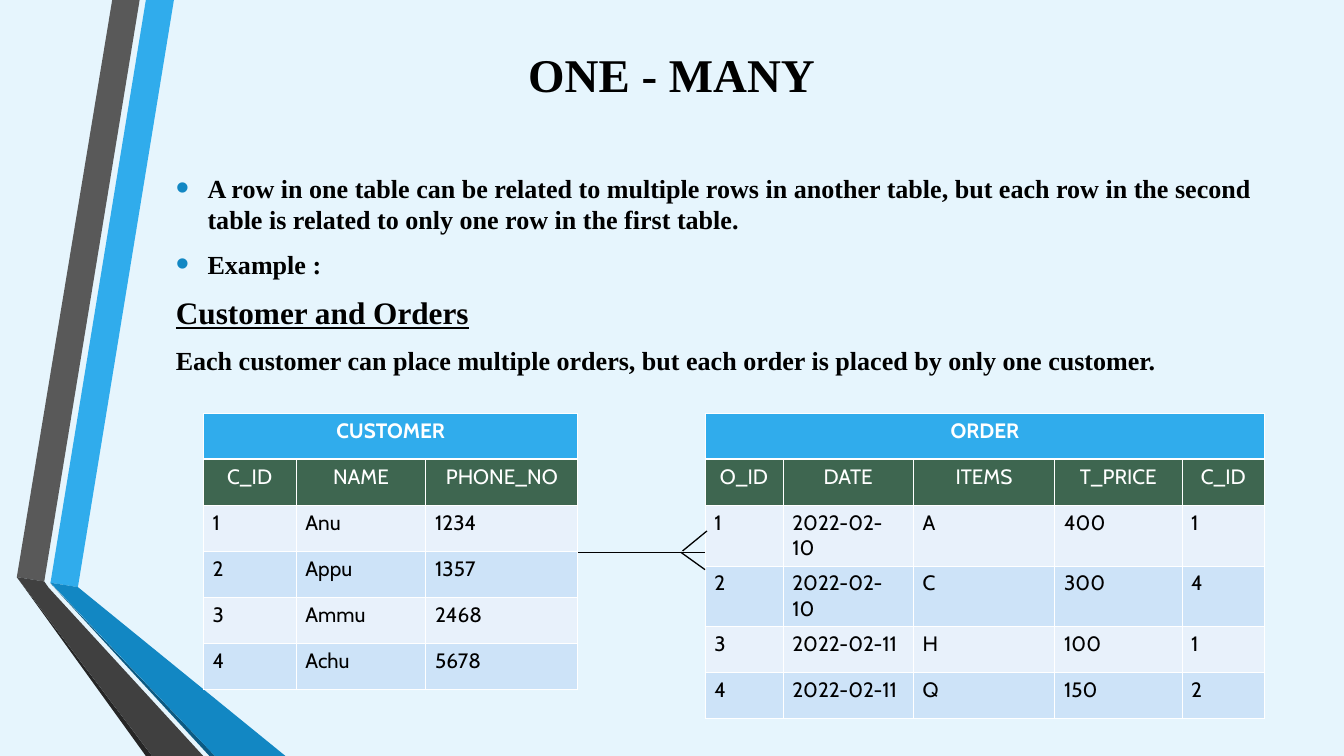
import pptx
import pptx.util
import pptx.dml.color
import pptx.enum.text
import pptx.enum.shapes
import pptx.oxml
import pptx.oxml.ns

Inches = pptx.util.Inches
Pt = pptx.util.Pt
Align = pptx.enum.text.PP_ALIGN
Anchor = pptx.enum.text.MSO_ANCHOR
SERIF = "Times New Roman"
NS = pptx.oxml.ns.nsdecls("a")

BANDS = [
    ("30ACEC", [(0.54, 9.35), (0.98, 9.42), (2.52, 0), (2.07, 0)]),
    ("595959", [(1.97, 0), (1.53, 0), (0, 9.26), (0.44, 9.33)]),
    ("262626", [(0, 9.26), (2.07, 12.13), (2.17, 12.13)]),
    ("0C5A82", [(0.54, 9.36), (3.09, 12.13), (3.18, 12.13)]),
    ("1287C3", [(0.54, 9.35), (3.18, 12.13), (4.31, 12.13), (0.98, 9.42)]),
    ("404040", [(2.99, 12.13), (0.51, 9.43), (0.44, 9.33), (0, 9.26), (2.17, 12.13)]),
]
BODY = [
    ("A row in one table can be related to multiple rows in another table, "
     "but each row in the second table is related to only one row in the first table.", 30.1, True),
    ("Example :", 30.1, True),
    ("Customer and Orders", 36.1, False),
    ("Each customer can place multiple orders, but each order is placed by only one customer.", 30.1, False),
]
CLIENTS = [
    ["C_ID", "NAME", "PHONE_NO"],
    ["1", "Anu", "1234"],
    ["2", "Appu", "1357"],
    ["3", "Ammu", "2468"],
    ["4", "Achu", "5678"],
]
ORDERS = [
    ["O_ID", "DATE", "ITEMS", "T_PRICE", "C_ID"],
    ["1", "2022-02-10", "A", "400", "1"],
    ["2", "2022-02-10", "C", "300", "4"],
    ["3", "2022-02-11", "H", "100", "1"],
    ["4", "2022-02-11", "Q", "150", "2"],
]


def paint(fmt, tone):
    fmt.solid()
    fmt.fore_color.rgb = pptx.dml.color.RGBColor.from_string(tone)


def style(font, name, size, tone, bold):
    font.name = name
    font.size = Pt(size)
    font.bold = bold
    paint(font.fill, tone)


def place(shape, box):
    shape.left, shape.top, shape.width, shape.height = map(Inches, box)


def ribbon(slide, x, y):
    for tone, dots in BANDS:
        pts = [(Inches(x + dx), Inches(y + dy)) for dx, dy in dots]
        pen = slide.shapes.build_freeform(*pts[0])
        pen.add_line_segments(pts[1:], close=True)
        band = pen.convert_to_shape()
        band.shadow.inherit = False
        paint(band.fill, tone)
        band.line.fill.background()


def heading(slide, box):
    title = slide.shapes.title
    place(title, box)
    frame = title.text_frame
    frame.text = "ONE - MANY"
    frame.vertical_anchor = Anchor.MIDDLE
    para = frame.paragraphs[0]
    para.alignment = Align.CENTER
    style(para.runs[0].font, SERIF, 54.2, "000000", True)


def bullet(para, shown):
    props = para._p.get_or_add_pPr()
    props.set("marL", str(Inches(0.51) if shown else 0))
    props.set("indent", str(Inches(-0.51) if shown else 0))
    marks = ['<a:buNone %s/>']
    if shown:
        marks = [
            '<a:buClr %s><a:srgbClr val="1287C3"/></a:buClr>',
            '<a:buSzPct %s val="145000"/>',
            '<a:buFont %s typeface="Arial"/>',
            '<a:buChar %s char="•"/>',
        ]
    for mark in marks:
        props.append(pptx.oxml.parse_xml(mark % NS))


def content(slide, box):
    body = slide.placeholders[1]
    place(body, box)
    frame = body.text_frame
    frame.text = "\n".join(text for text, size, dot in BODY)
    frame.word_wrap = True
    frame.auto_size = pptx.enum.text.MSO_AUTO_SIZE.NONE
    frame.vertical_anchor = Anchor.TOP
    frame.margin_top = Inches(0.57)
    for i, (para, (text, size, dot)) in enumerate(zip(frame.paragraphs, BODY)):
        bullet(para, dot)
        para.alignment = Align.LEFT
        para.space_before = Pt(6 if i else 0)
        para.space_after = Pt(9.7)
        font = para.runs[0].font
        style(font, SERIF, size, "000000", True)
        font.underline = size > 36


def border(cell, low):
    props = cell._tc.get_or_add_tcPr()
    for side, width in zip("LRTB", (1, 1, 1, low)):
        props.append(pptx.oxml.parse_xml(
            f'<a:ln{side} {NS} w="{Pt(width)}"><a:solidFill>'
            f'<a:srgbClr val="FFFFFF"/></a:solidFill></a:ln{side}>'))


def grid(slide, x, y, name, rows, widths):
    lines = [[name] + [""] * (len(widths) - 1)] + rows
    high = 0.74
    table = slide.shapes.add_table(
        len(lines), len(widths), Inches(x), Inches(y),
        Inches(sum(widths)), Inches(high * len(lines))).table
    for col, width in zip(table.columns, widths):
        col.width = Inches(width)
    for r, line in enumerate(lines):
        table.rows[r].height = Inches(high)
        tone = ("30ACEC", "3E6650")[r] if r < 2 else ("E8F1FB", "CDE3F8")[r % 2]
        for c, text in enumerate(line):
            cell = table.cell(r, c)
            border(cell, 1 if r else 3)
            paint(cell.fill, tone)
            cell.margin_left = cell.margin_right = Inches(0.15)
            cell.margin_top = cell.margin_bottom = Inches(0.08)
            cell.text = text
            para = cell.text_frame.paragraphs[0]
            para.alignment = Align.CENTER if r < 2 else Align.LEFT
            for run in para.runs:
                style(run.font, "Cabin", 24, "FFFFFF" if r < 2 else "000000", r == 0)
    table.cell(0, 0).merge(table.cell(0, len(widths) - 1))


def link(slide, x, y):
    ends = [(0, 0, 2.04, 0), (1.68, -0.02, 2.07, -0.34), (1.65, 0, 2.04, 0.28)]
    for x1, y1, x2, y2 in ends:
        line = slide.shapes.add_connector(
            pptx.enum.shapes.MSO_CONNECTOR.STRAIGHT,
            Inches(x + x1), Inches(y + y1), Inches(x + x2), Inches(y + y2))
        paint(line.line.fill, "000000")
        line.line.width = Pt(1.5)
        line._element.spPr.append(pptx.oxml.parse_xml(f"<a:effectLst {NS}/>"))


def main():
    deck = pptx.Presentation()
    deck.slide_width = Inches(21.56)
    deck.slide_height = Inches(12.13)
    slide = deck.slides.add_slide(deck.slide_layouts[1])
    paint(slide.background.fill, "E6F5FD")
    ribbon(slide, 0.27, 0)
    heading(slide, (1.79, 0.17, 17.97, 2.02))
    content(slide, (2.72, 2.19, 17.72, 5.17))
    grid(slide, 11.31, 6.63, "ORDER", ORDERS, [1.25, 2.09, 2.27, 2.04, 1.33])
    grid(slide, 3.26, 6.63, "CUSTOMER", CLIENTS, [1.49, 2.08, 2.44])
    link(slide, 9.27, 8.86)
    deck.save("out.pptx")


if __name__ == "__main__":
    main()
